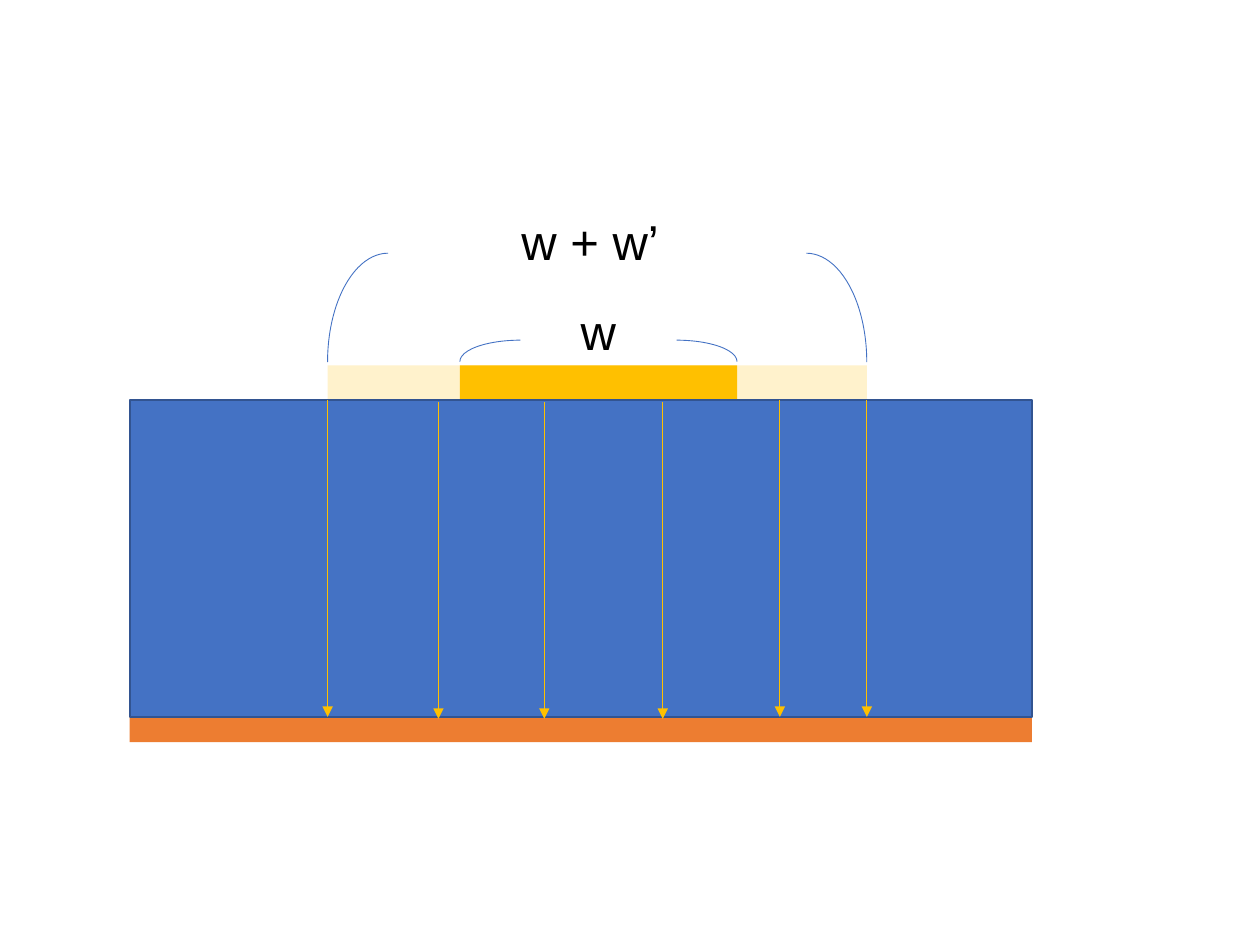
from lxml.etree import SubElement
from pptx import Presentation
from pptx.dml.color import RGBColor
from pptx.enum.shapes import MSO_CONNECTOR as Connector, MSO_SHAPE as Shape
from pptx.enum.text import MSO_AUTO_SIZE as AutoSize
from pptx.oxml.ns import qn
from pptx.util import Inches, Pt

COLORS = {
    "spread": "FFF2CC",
    "trace": "FFC000",
    "ground": "ED7D31",
    "substrate": "4472C4",
    "edge": "325491",
    "text": "000000",
}


class Diagram:
    """Draws on one slide, on a grid of 100 columns by 75 rows."""

    font, size, thin = "Arial", Pt(28), Pt(0.5)
    cell = Inches(0.1)

    def __init__(self, slide):
        """Keep the slide to draw on."""
        self.slide = slide

    def grid(self, *units):
        """Turn columns and rows into lengths."""
        return [round(unit * self.cell) for unit in units]

    def paint(self, line, color, width):
        """Colour a line and set its width."""
        line.color.rgb = RGBColor.from_string(COLORS[color])
        line.width = width

    def shape(self, preset, col, row, cols, rows):
        """Add a preset shape without shadow."""
        shape = self.slide.shapes.add_shape(preset, *self.grid(col, row, cols, rows))
        shape.shadow.inherit = False
        return shape

    def layer(self, col, row, cols, rows, fill, edge=None):
        """Add a filled layer of material."""
        layer = self.shape(Shape.RECTANGLE, col, row, cols, rows)
        layer.fill.solid()
        layer.fill.fore_color.rgb = RGBColor.from_string(COLORS[fill])
        if edge:
            self.paint(layer.line, edge, Pt(1))
        else:
            layer.line.fill.background()

    def bracket(self, left, right, row, rows, cols=9.6):
        """Mark a width with two mirrored arcs."""
        for col, mirrored in ((left, True), (right - cols, False)):
            arc = self.shape(Shape.ARC, col, row, cols, rows)
            arc.fill.background()
            self.paint(arc.line, "substrate", self.thin)
            if mirrored:
                arc._element.spPr.xfrm.set("flipH", "1")

    def label(self, text, col, row, cols, rows=5.7):
        """Add a line of text."""
        frame = self.slide.shapes.add_textbox(*self.grid(col, row, cols, rows)).text_frame
        frame.word_wrap = True
        frame.auto_size = AutoSize.SHAPE_TO_FIT_TEXT
        frame.text = text
        font = frame.paragraphs[0].runs[0].font
        font.name, font.size = self.font, self.size
        font.color.rgb = RGBColor.from_string(COLORS["text"])

    def field_line(self, col, top, bottom):
        """Add a vertical arrow that points down."""
        arrow = self.slide.shapes.add_connector(
            Connector.STRAIGHT, *self.grid(col, top, col, bottom))
        self.paint(arrow.line, "trace", self.thin)
        SubElement(arrow.line._get_or_add_ln(), qn("a:tailEnd"), type="triangle")
        SubElement(arrow._element.spPr, qn("a:effectLst"))


def main():
    """Build the slide and save it."""
    deck = Presentation()
    deck.slide_width, deck.slide_height = Inches(10), Inches(7.5)
    diagram = Diagram(deck.slides.add_slide(deck.slide_layouts[6]))

    spread_left, spread_right = 26, 68.8
    trace_left, trace_right = 36.5, 58.5
    board_left, board_cols = 10.3, 71.6
    board_top, board_bottom = 31.75, 56.9

    diagram.layer(spread_left, 29, spread_right - spread_left, 2.75, "spread")
    diagram.layer(trace_left, 29, trace_right - trace_left, 2.75, "trace")
    diagram.layer(board_left, board_bottom, board_cols, 2, "ground")
    diagram.layer(board_left, board_top, board_cols, board_bottom - board_top,
                  "substrate", "edge")

    diagram.bracket(trace_left, trace_right, 27, 3.4)
    diagram.label("w", 45.1, 23.4, 12.3)
    diagram.bracket(spread_left, spread_right, 20.1, 17.3)
    diagram.label("w + w’", 40.4, 16.3, 19.2)

    inner = (34.8, 43.2, 52.6)
    for col in (spread_left, *inner, 61.9, spread_right):
        drop = 0.15 if col in inner else 0
        diagram.field_line(col, board_top + drop, board_bottom + drop)

    deck.save("out.pptx")


main()
